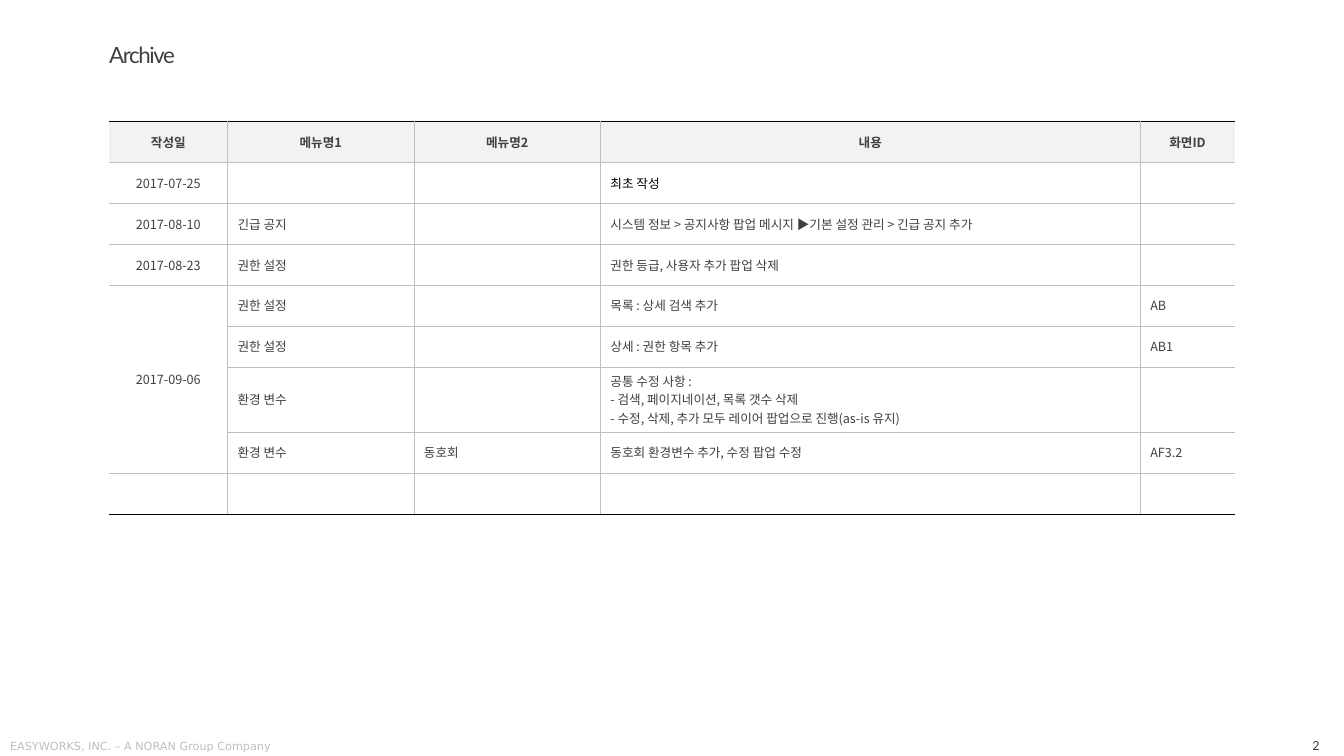
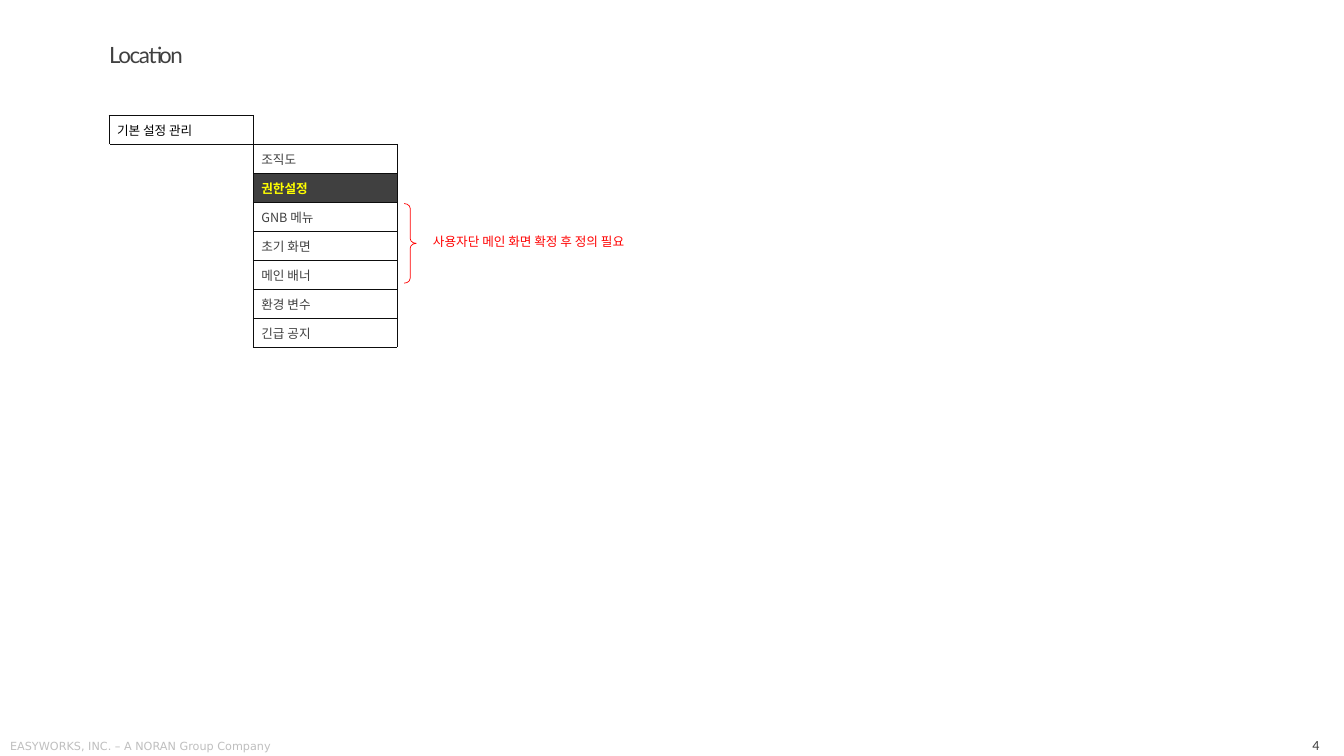
from lxml.etree import SubElement
from pptx import Presentation
from pptx.dml.color import RGBColor
from pptx.enum.shapes import MSO_SHAPE as Preset
from pptx.enum.text import MSO_ANCHOR as Anchor, PP_ALIGN as Align
from pptx.oxml.ns import qn
from pptx.util import Pt

DARK, GREY, INK = "404040", "BFBFBF", "0D0D0D"
BLACK, WHITE, RED, YELLOW, HEADER = "000000", "FFFFFF", "FF0000", "FFFF00", "F2F2F2"
BODY_FONT, TITLE_FONT, NUMBER_FONT, FOOTER_FONT = (
    "Noto Sans CJK KR", "Lato", "Calibri", "DejaVu Sans")
LEFT = 78
FOOTER = "EASYWORKS, INC. – A NORAN Group Company"

ARCHIVE_COLUMNS = [84.5, 133.2, 133.2, 385.6, 67.6]
ROW_HEIGHT, TALL_ROW_HEIGHT = 29.2, 46.6
ARCHIVE_ROWS = [
    ["작성일", "메뉴명1", "메뉴명2", "내용", "화면ID"],
    ["2017-07-25", "", "", "최초 작성", ""],
    ["2017-08-10", "긴급 공지", "",
     "시스템 정보 > 공지사항 팝업 메시지 ▶기본 설정 관리 > 긴급 공지 추가", ""],
    ["2017-08-23", "권한 설정", "", "권한 등급, 사용자 추가 팝업 삭제", ""],
    ["2017-09-06", "권한 설정", "", "목록 : 상세 검색 추가", "AB"],
    ["", "권한 설정", "", "상세 : 권한 항목 추가", "AB1"],
    ["", "환경 변수", "",
     "공통 수정 사항 :\n- 검색, 페이지네이션, 목록 갯수 삭제\n"
     "- 수정, 삭제, 추가 모두 레이어 팝업으로 진행(as-is 유지)", ""],
    ["", "환경 변수", "동호회", "동호회 환경변수 추가, 수정 팝업 수정", "AF3.2"],
    ["", "", "", "", ""],
]

MENU_COLUMNS = [103.1, 103.1, 103.1, 103.1, 105]
MENU_ROOT = "기본 설정 관리"
MENU_ITEMS = ["조직도", "권한설정", "GNB 메뉴", "초기 화면", "메인 배너", "환경 변수", "긴급 공지"]
MENU_CURRENT = "권한설정"
SIDES = {"L": (0, -1), "R": (0, 1), "T": (-1, 0), "B": (1, 0)}


def rgb(value):
    """Turn a hex string into a colour."""
    return RGBColor.from_string(value)


def write_text(frame, text, size=9, font=BODY_FONT, color=DARK, bold=False,
               align=Align.LEFT, line_spacing=None, spacing=None):
    """Fill a text frame with one formatted paragraph per line of text."""
    for index, line in enumerate(text.split("\n")):
        paragraph = frame.add_paragraph() if index else frame.paragraphs[0]
        paragraph.alignment = align
        if line_spacing:
            paragraph.line_spacing = line_spacing
        if not line:
            SubElement(paragraph._p, qn("a:endParaRPr"), sz=str(size * 100))
            continue
        run = paragraph.add_run()
        run.text = line
        run.font.size = Pt(size)
        run.font.bold = bold
        run.font.color.rgb = rgb(color)
        run.font.name = font
        properties = run.font._element
        SubElement(properties, qn("a:ea"), typeface=font)
        if spacing:
            properties.set("spc", str(spacing * 100))


def add_text(slide, text, left, top, width, height, margins=(0, 0),
             anchor=Anchor.TOP, wrap=True, **style):
    """Add a text box with the given horizontal and vertical margins."""
    frame = slide.shapes.add_textbox(Pt(left), Pt(top), Pt(width), Pt(height)).text_frame
    frame.word_wrap = wrap
    frame.vertical_anchor = anchor
    frame.margin_left = frame.margin_right = Pt(margins[0])
    frame.margin_top = frame.margin_bottom = Pt(margins[1])
    write_text(frame, text, **style)


def add_page(presentation, title, number):
    """Add a slide with the shared title, footer and page number."""
    slide = presentation.slides.add_slide(presentation.slide_layouts[6])
    add_text(slide, title, LEFT, 31.7, 674.6, 26, size=16, font=TITLE_FONT,
             line_spacing=0.9, spacing=-1)
    add_text(slide, FOOTER, 4.3, 524.2, 258.5, 15, margins=(2.9, 3.6), size=8,
             font=FOOTER_FONT, color=GREY)
    add_text(slide, str(number), 894.2, 524.9, 51.1, 15, margins=(2.9, 3.6),
             anchor=Anchor.MIDDLE, size=10, font=NUMBER_FONT, align=Align.RIGHT)
    return slide


def add_grid(slide, top, columns, row_heights):
    """Add a plain table and return it."""
    table = slide.shapes.add_table(
        len(row_heights), len(columns), Pt(LEFT), Pt(top),
        Pt(sum(columns)), Pt(sum(row_heights))).table
    table.first_row = table.horz_banding = False
    for column, width in zip(table.columns, columns):
        column.width = Pt(width)
    for row, height in zip(table.rows, row_heights):
        row.height = Pt(height)
    return table


def set_borders(cell, colors, width):
    """Draw the cell borders, leaving out the sides without a colour."""
    properties = cell._tc.get_or_add_tcPr()
    for side in SIDES:
        line = SubElement(properties, qn(f"a:ln{side}"), w=str(Pt(width)))
        if colors[side]:
            fill = SubElement(line, qn("a:solidFill"))
            SubElement(fill, qn("a:srgbClr"), val=colors[side])
        else:
            SubElement(line, qn("a:noFill"))


def fill_cell(cell, text, fill, borders, border_width, margins, **style):
    """Set the borders, fill, margins and text of a table cell."""
    set_borders(cell, borders, border_width)
    if fill:
        cell.fill.solid()
        cell.fill.fore_color.rgb = rgb(fill)
    else:
        cell.fill.background()
    cell.vertical_anchor = Anchor.MIDDLE
    cell.margin_left = cell.margin_right = Pt(margins[0])
    cell.margin_top = cell.margin_bottom = Pt(margins[1])
    write_text(cell.text_frame, text, **style)


def add_archive_table(slide):
    """Add the revision history table."""
    heights = [TALL_ROW_HEIGHT if any("\n" in text for text in texts) else ROW_HEIGHT
               for texts in ARCHIVE_ROWS]
    table = add_grid(slide, 86.8, ARCHIVE_COLUMNS, heights)
    last_row, last_column = len(ARCHIVE_ROWS) - 1, len(ARCHIVE_COLUMNS) - 1
    for row, texts in enumerate(ARCHIVE_ROWS):
        for column, text in enumerate(texts):
            header = row == 0
            borders = {
                "L": GREY if column > 0 else None,
                "R": GREY if column < last_column else None,
                "T": BLACK if header else GREY,
                "B": BLACK if row == last_row else GREY,
            }
            fill_cell(table.cell(row, column), text, HEADER if header else None,
                      borders, 0.25, (7.2, 3.6), bold=header,
                      color=BLACK if row == 1 and column == 3 else DARK,
                      align=Align.CENTER if header or column == 0 else Align.LEFT)
    table.cell(4, 0).merge(table.cell(7, 0))


def add_menu_table(slide):
    """Add the menu tree, with outlined cells on a white grid."""
    row_count = len(MENU_ITEMS) + 1
    table = add_grid(slide, 82.5, MENU_COLUMNS, [20.7] * row_count)
    labels = {(row, 1): item for row, item in enumerate(MENU_ITEMS, 1)}
    labels[0, 0] = MENU_ROOT
    for row in range(row_count):
        for column in range(len(MENU_COLUMNS)):
            text = labels.get((row, column), "")
            current = text == MENU_CURRENT
            borders = {
                side: INK if text or (row + down, column + across) in labels else WHITE
                for side, (down, across) in SIDES.items()}
            color = YELLOW if current else BLACK if row == 0 else DARK
            fill_cell(table.cell(row, column), text, DARK if current else WHITE,
                      borders, 1, (5.6, 2.8), bold=current, color=color)
    table.cell(1, 2).merge(table.cell(row_count - 1, 2))


def add_brace(slide, left, top, width, height):
    """Add a red right brace."""
    brace = slide.shapes.add_shape(
        Preset.RIGHT_BRACE, Pt(left), Pt(top), Pt(width), Pt(height))
    brace.shadow.inherit = False
    brace.adjustments[0] = 0.41
    brace.adjustments[1] = 0.5
    brace.fill.background()
    brace.line.color.rgb = rgb(RED)
    brace.line.width = Pt(0.5)


def main():
    """Build and save the presentation."""
    presentation = Presentation()
    presentation.slide_width, presentation.slide_height = Pt(960), Pt(540)
    add_archive_table(add_page(presentation, "Archive", 2))
    location = add_page(presentation, "Location", 4)
    add_menu_table(location)
    add_brace(location, 288.7, 145.4, 8.6, 56.9)
    add_text(location, "사용자단 메인 화면 확정 후 정의 필요", 302.2, 163.4, 158.6, 18,
             margins=(7.2, 3.6), wrap=False, color=RED)
    presentation.save("out.pptx")


if __name__ == "__main__":
    main()
